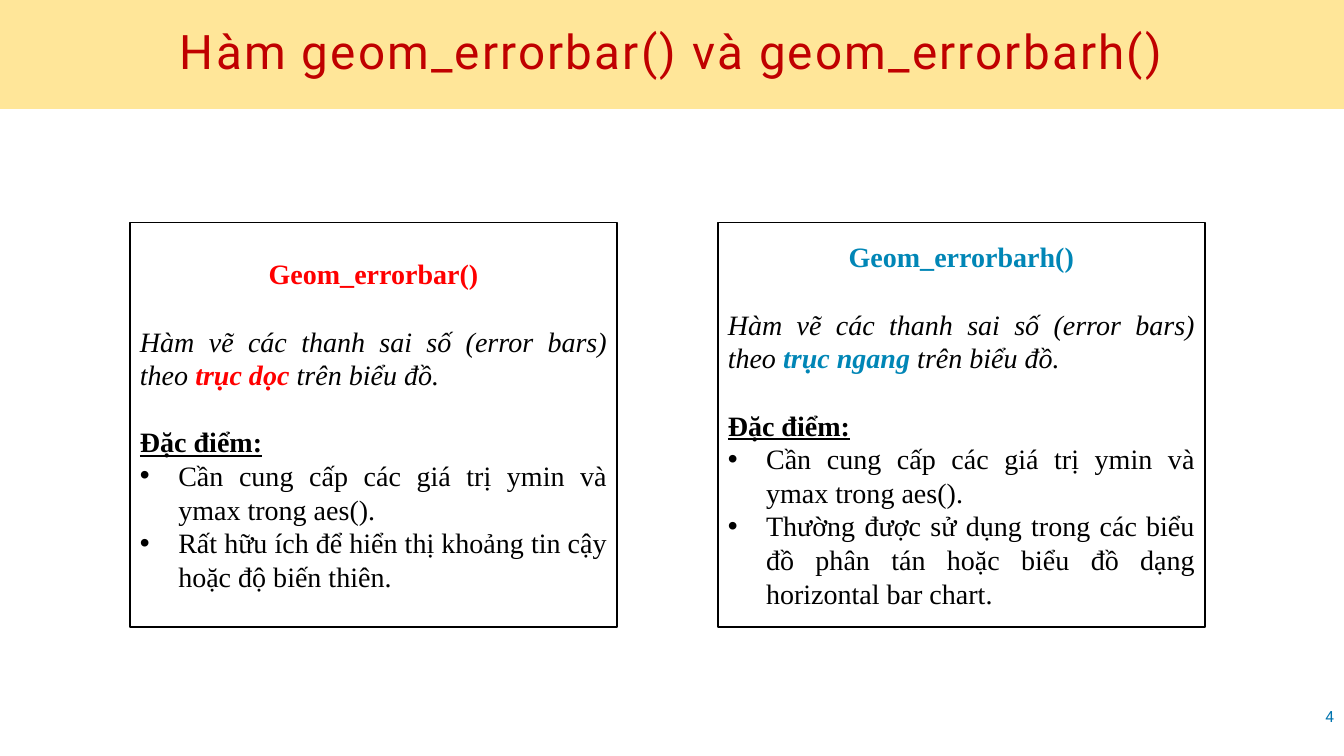
from lxml import etree
from pptx import Presentation
from pptx.dml.color import RGBColor
from pptx.enum.shapes import MSO_SHAPE
from pptx.enum.text import MSO_ANCHOR, MSO_AUTO_SIZE, PP_ALIGN
from pptx.oxml.ns import qn
from pptx.util import Inches, Pt

PROCESS = MSO_SHAPE.FLOWCHART_PROCESS
MIDDLE = MSO_ANCHOR.MIDDLE
NO_FIT = MSO_AUTO_SIZE.NONE
CENTER, RIGHT, JUSTIFY = PP_ALIGN.CENTER, PP_ALIGN.RIGHT, PP_ALIGN.JUSTIFY

COLORS = {
    "banner": "FFE699",
    "title": "C00000",
    "number": "0074AF",
    "vertical": "FF0000",
    "horizontal": "0086B6",
    "text": "000000",
}
HEADING_FONT = "Roboto"
BODY_FONT = "Times New Roman"
BODY_SIZE = 20
SECTION_GAP = 24
BULLET_INDENT = 0.38

FUNCTIONS = [
    ("Geom_errorbar()", "vertical", "trục dọc ",
     "Rất hữu ích để hiển thị khoảng tin cậy hoặc độ biến thiên."),
    ("Geom_errorbarh()", "horizontal", "trục ngang ",
     "Thường được sử dụng trong các biểu đồ phân tán hoặc biểu đồ dạng "
     "horizontal bar chart."),
]


def rgb(name):
    return RGBColor.from_string(COLORS[name])


def set_format(target, **values):
    for name, value in values.items():
        setattr(target, name, value)


def add_span(para, text, color="text", font=BODY_FONT, size=BODY_SIZE, **style):
    span = para.add_run()
    span.text = text
    set_format(span.font, name=font, size=Pt(size), **style)
    span.font.color.rgb = rgb(color)
    return span


def place(shape, left, top, width, height):
    set_format(shape, left=Inches(left), top=Inches(top),
               width=Inches(width), height=Inches(height))


def add_para(frame, align=JUSTIFY, gap_after=0):
    first = frame.paragraphs[0]
    para = frame.add_paragraph() if first.runs else first
    set_format(para, alignment=align, space_after=Pt(gap_after))
    return para


def add_bullet(frame, text):
    para = add_para(frame)
    add_span(para, text)
    properties = para._p.get_or_add_pPr()
    properties.set("marL", str(Inches(BULLET_INDENT)))
    properties.set("indent", str(-Inches(BULLET_INDENT)))
    etree.SubElement(properties, qn("a:buFont")).set("typeface", "Arial")
    etree.SubElement(properties, qn("a:buChar")).set("char", "•")


def add_title(page, text):
    title = page.shapes.title
    place(title, 0, 0, 13.33, 1.08)
    title.fill.solid()
    title.fill.fore_color.rgb = rgb("banner")
    frame = title.text_frame
    set_format(frame, vertical_anchor=MIDDLE, word_wrap=True, auto_size=NO_FIT,
               margin_left=Inches(0.5), margin_right=Inches(0.5))
    para = add_para(frame, CENTER)
    para.line_spacing = 0.9
    span = add_span(para, text, "title", HEADING_FONT, 34)
    span.font._element.set("spc", "160")


def add_page_number(page, text):
    box = page.shapes.add_textbox(Inches(10.33), Inches(6.91), Inches(3), Inches(0.4))
    set_format(box.text_frame, vertical_anchor=MIDDLE, word_wrap=True)
    add_span(add_para(box.text_frame, RIGHT), text, "number", HEADING_FONT, 11)


def add_function_box(page, left, name, color, axis, usage):
    box = page.shapes.add_shape(PROCESS, Inches(left), Inches(2.21),
                                Inches(4.83), Inches(4.01))
    box.shadow.inherit = False
    box.fill.background()
    box.line.color.rgb = rgb("text")
    box.line.width = Pt(1)
    frame = box.text_frame
    set_format(frame, vertical_anchor=MIDDLE, word_wrap=True)
    add_span(add_para(frame, CENTER, SECTION_GAP), name, color, bold=True)
    purpose = add_para(frame, gap_after=SECTION_GAP)
    add_span(purpose, "Hàm vẽ các thanh sai số (error bars) theo ", italic=True)
    add_span(purpose, axis, color, bold=True, italic=True)
    add_span(purpose, "trên biểu đồ.", italic=True)
    add_span(add_para(frame), "Đặc điểm:", bold=True, underline=True)
    add_bullet(frame, "Cần cung cấp các giá trị ymin và ymax trong aes().")
    add_bullet(frame, usage)


def main():
    deck = Presentation()
    set_format(deck, slide_width=Inches(13.33), slide_height=Inches(7.5))
    page = deck.slides.add_slide(deck.slide_layouts[5])
    add_title(page, "Hàm geom_errorbar() và geom_errorbarh()")
    add_page_number(page, "4")
    for index, function in enumerate(FUNCTIONS):
        add_function_box(page, 1.29 + 5.83 * index, *function)
    deck.save("out.pptx")


if __name__ == "__main__":
    main()
